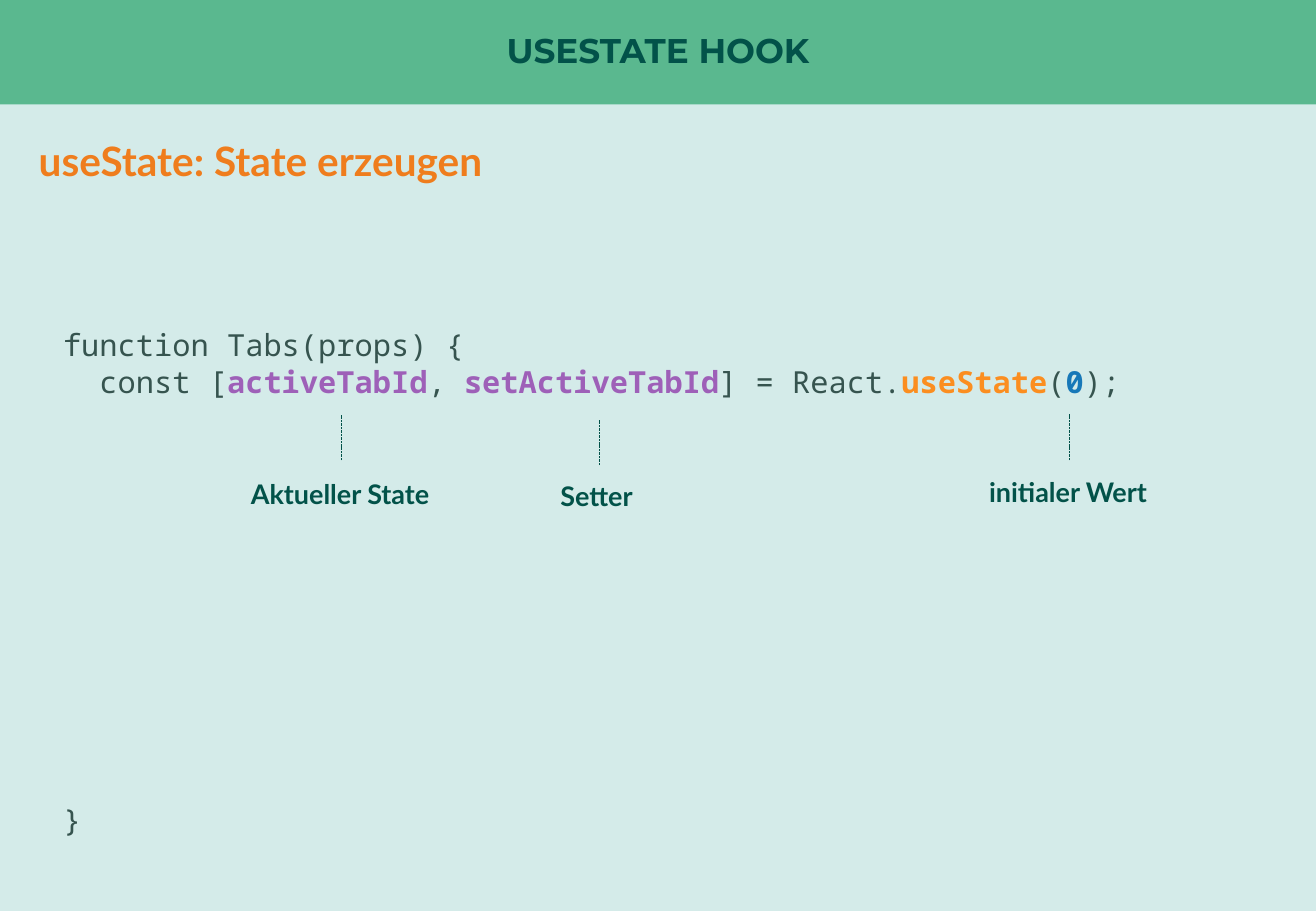
from pptx import Presentation
from pptx.dml.color import RGBColor
from pptx.enum.dml import MSO_LINE
from pptx.enum.shapes import MSO_CONNECTOR, MSO_SHAPE
from pptx.enum.text import MSO_ANCHOR, PP_ALIGN as Align
from pptx.oxml.ns import qn
from pptx.util import Inches, Pt
from lxml import etree

COLORS = {
    "background": "D4EBE9",
    "banner": "5AB88F",
    "dark": "025249",
    "heading": "EF7D1D",
    "code": "36544F",
    "state": "9E60B8",
    "hook": "FB8E20",
    "value": "1778B8",
}
TITLE = "USESTATE HOOK"
HEADING = "useState: State erzeugen"
CODE = [
    [("function Tabs(props) {", "code")],
    [("  const [", "code"), ("activeTabId", "state"), (", ", "code"),
     ("setActiveTabId", "state"), ("] = React.", "code"),
     ("useState", "hook"), ("(", "code"), ("0", "value"), (");", "code")],
    [("}", "code")],
]
CLOSING_GAP = Pt(238)
CALLOUTS = [
    ("initialer Wert", 7.19, 3.87, 8.8, 3.41, 3.79),
    ("Setter", 3.31, 3.9, 4.93, 3.46, 3.83),
    ("Aktueller State", 1.2, 3.88, 2.81, 3.42, 3.79),
]
SLIDE_WIDTH, SLIDE_HEIGHT = 10.83, 7.5
BANNER_HEIGHT = 0.86
LABEL_WIDTH, LABEL_HEIGHT = 3.2, 0.37


def color(name):
    return RGBColor.from_string(COLORS[name])


def set_font(font, name, size, tint, bold=False):
    font.name, font.size, font.bold = name, Pt(size), bold
    font.color.rgb = color(tint)


def add_text(page, text, left, top, width, height, name, size, tint):
    box = page.shapes.add_textbox(Inches(left), Inches(top), Inches(width), Inches(height))
    box.text_frame.word_wrap = True
    para = box.text_frame.paragraphs[0]
    para.text = text
    set_font(para.font, name, size, tint, bold=True)
    return box.text_frame, para


def add_header(page):
    banner = page.shapes.add_shape(
        MSO_SHAPE.RECTANGLE, 0, 0, Inches(SLIDE_WIDTH), Inches(BANNER_HEIGHT))
    banner.shadow.inherit = False
    banner.fill.solid()
    banner.fill.fore_color.rgb = color("banner")
    banner.line.fill.background()

    frame, para = add_text(page, TITLE, 0, 0, SLIDE_WIDTH, BANNER_HEIGHT,
                           "Montserrat", 20.3, "dark")
    frame.margin_left = frame.margin_right = frame.margin_top = frame.margin_bottom = 0
    frame.vertical_anchor = MSO_ANCHOR.MIDDLE
    para.alignment = Align.CENTER
    para.line_spacing = 0.9

    _, para = add_text(page, HEADING, 0.22, 1.12, 10.39, 0.5, "Lato", 24, "heading")
    para.line_spacing = 0.9


def add_code(page):
    box = page.shapes.add_textbox(Inches(0.42), Inches(2.64), Inches(9.99), Inches(4.64))
    frame = box.text_frame
    frame.word_wrap = True
    for index, line in enumerate(CODE):
        para = frame.add_paragraph() if index else frame.paragraphs[0]
        for text, tint in line:
            span = para.add_run()
            span.text = text
            set_font(span.font, "Noto Sans Mono", 18, tint, bold=tint != "code")
    para.space_before = CLOSING_GAP


def add_callout(page, label, left, top, line_x, line_top, line_bottom):
    _, para = add_text(page, label, left, top, LABEL_WIDTH, LABEL_HEIGHT, "Lato", 16, "dark")
    para.alignment = Align.CENTER
    pointer = page.shapes.add_connector(
        MSO_CONNECTOR.STRAIGHT, Inches(line_x), Inches(line_bottom),
        Inches(line_x), Inches(line_top))
    pointer.line.color.rgb = color("dark")
    pointer.line.width = Pt(0.5)
    pointer.line.dash_style = MSO_LINE.SQUARE_DOT
    etree.SubElement(pointer._element.spPr, qn("a:effectLst"))


def main():
    deck = Presentation()
    deck.slide_width, deck.slide_height = Inches(SLIDE_WIDTH), Inches(SLIDE_HEIGHT)
    page = deck.slides.add_slide(deck.slide_layouts[6])
    page.background.fill.solid()
    page.background.fill.fore_color.rgb = color("background")
    add_header(page)
    add_code(page)
    for callout in CALLOUTS:
        add_callout(page, *callout)
    deck.save("out.pptx")


if __name__ == "__main__":
    main()
